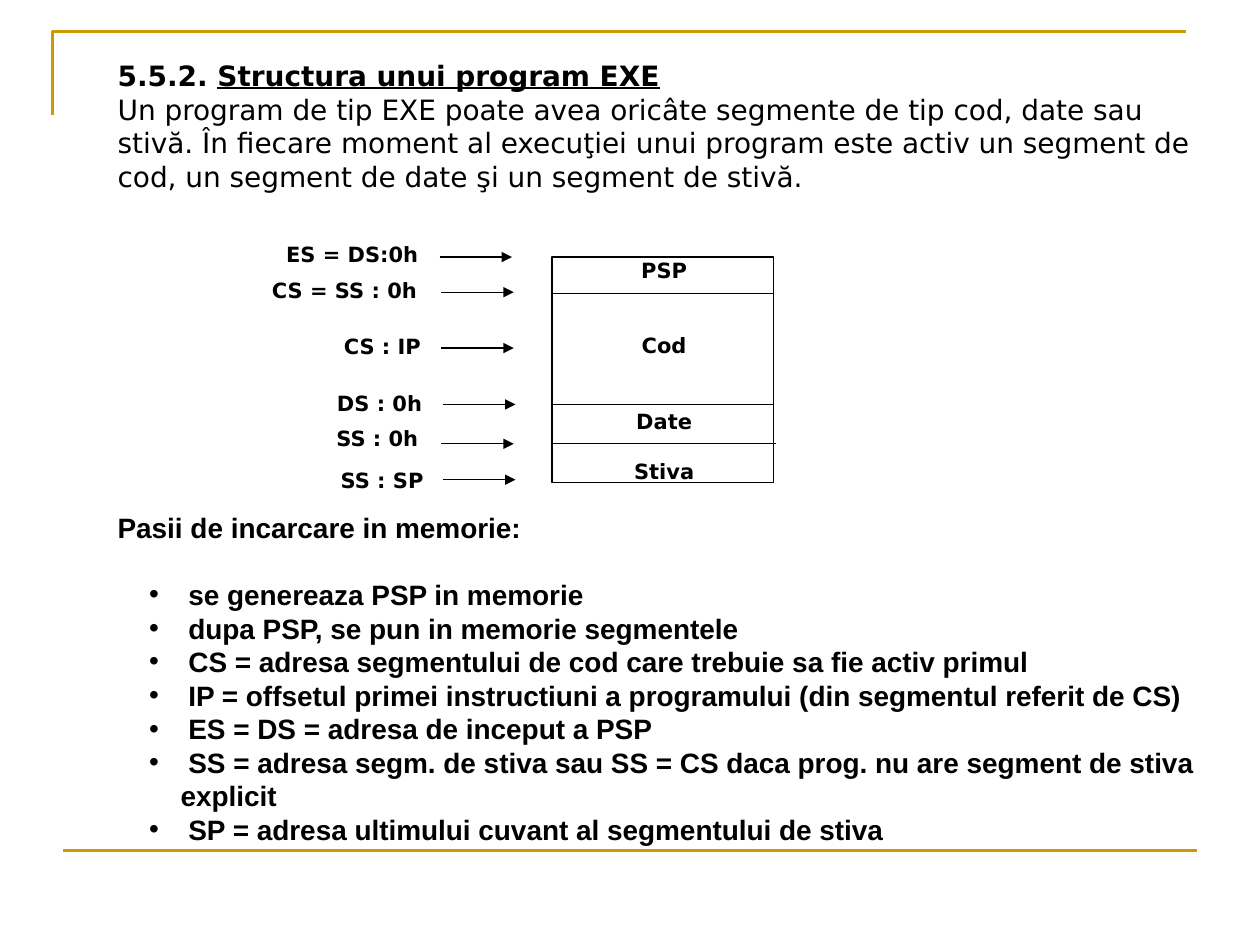
from lxml.etree import SubElement
from pptx import Presentation
from pptx.dml.color import RGBColor
from pptx.enum.shapes import MSO_CONNECTOR, MSO_SHAPE
from pptx.enum.text import MSO_ANCHOR, MSO_AUTO_SIZE, PP_ALIGN
from pptx.oxml.ns import qn
from pptx.util import Pt

# Content
HEADING = ("5.5.2. ", "Structura unui program EXE")
INTRO = ("Un program de tip EXE poate avea oricâte segmente de tip cod, date sau stivă. "
         "În fiecare moment al execuţiei unui program este activ un segment de cod, "
         "un segment de date şi un segment de stivă.")
SEGMENTS = [("PSP", 0), ("Cod", 2), ("Date", 2), ("Stiva", 1)]  # name, lines skipped above
DIVIDERS = [(167.8, 442.1), (231.1, 442.1), (253.4, 443.5)]  # y, right end
# text, label right edge, label top, arrow start, arrow y
POINTERS = [
    ("ES = DS:0h", 239, 138.2, 251.2, 146.9),
    ("CS = SS : 0h", 238.3, 158.4, 252.2, 167),
    ("CS : IP", 240.5, 190.8, 252.2, 198.9),
    ("DS : 0h", 241.2, 223.2, 253.2, 231.1),
    ("SS : 0h", 239, 243.4, 252.2, 253.6),
    ("SS : SP", 242, 267.1, 253.2, 274.1),
]
STEPS_TITLE = "Pasii de incarcare in memorie:"
STEPS = [
    " se genereaza PSP in memorie",
    " dupa PSP, se pun in memorie segmentele",
    " CS = adresa segmentului de cod care trebuie sa fie activ primul",
    " IP = offsetul primei instructiuni a programului (din segmentul referit de CS)",
    " ES = DS = adresa de inceput a PSP",
    " SS = adresa segm. de stiva sau SS = CS daca prog. nu are segment de stiva explicit",
    " SP = adresa ultimului cuvant al segmentului de stiva",
]

COLORS = {"gold": "CC9900", "ink": "000000", "paper": "FFFFFF"}
LEADING = 1.2
LABEL_W, ARROW_W = 106.6, 41.4
MEM_X, MEM_Y, MEM_W, MEM_H = 315.4, 146.9, 126.7, 128.9
TITLE = {"size": Pt(16), "name": "DejaVu Sans", "bold": True}
PLAIN = {**TITLE, "bold": False}
LABEL = {**TITLE, "size": Pt(12)}
STEP = {**TITLE, "name": "Arial"}


def rgb(key):
    return RGBColor.from_string(COLORS[key])


def style_line(line, color, width):
    line.color.rgb = rgb(color)
    line.width = Pt(width)


def place(sp, x, y, w, h, margins=(0, 0)):
    """Position a text shape and return its top-anchored, wrapping frame."""
    sp.left, sp.top, sp.width, sp.height = Pt(x), Pt(y), Pt(w), Pt(h)
    tf = sp.text_frame
    side, edge = map(Pt, margins)
    frame = {"word_wrap": True, "auto_size": MSO_AUTO_SIZE.NONE,
             "vertical_anchor": MSO_ANCHOR.TOP, "margin_left": side,
             "margin_right": side, "margin_top": edge, "margin_bottom": edge}
    for name, value in frame.items():
        setattr(tf, name, value)
    return tf


def add_run(p, text, fmt, **extra):
    r = p.add_run()
    r.text = text
    for name, value in {**fmt, **extra}.items():
        setattr(r.font, name, value)
    r.font.color.rgb = rgb("ink")


def write(tf, text, fmt, align=PP_ALIGN.LEFT, before=0, first=False):
    p = tf.paragraphs[0] if first else tf.add_paragraph()
    p.alignment = align
    p.line_spacing = Pt(fmt["size"].pt * LEADING)
    p.space_before, p.space_after = Pt(before), Pt(0)
    add_run(p, text, fmt)
    return p


def set_bullet(p, char=None, left=0, hang=0):
    pPr = p._p.get_or_add_pPr()
    pPr.set("marL", str(Pt(left)))
    pPr.set("indent", str(-Pt(hang)))
    if char:
        SubElement(pPr, qn("a:buChar")).set("char", char)
    else:
        SubElement(pPr, qn("a:buNone"))


def add_line(s, x1, y1, x2, y2, color="ink", width=0.75, arrow=False):
    sp = s.shapes.add_connector(MSO_CONNECTOR.STRAIGHT, Pt(x1), Pt(y1), Pt(x2), Pt(y2))
    style_line(sp.line, color, width)
    if arrow:
        SubElement(sp.line._get_or_add_ln(), qn("a:tailEnd")).set("type", "triangle")
    SubElement(sp._element.spPr, qn("a:effectLst"))


def main():
    prs = Presentation()
    prs.slide_width, prs.slide_height = Pt(720), Pt(540)
    s = prs.slides.add_slide(prs.slide_layouts[1])
    title, body = s.placeholders

    # Gold frame
    fb = s.shapes.build_freeform(Pt(30), Pt(66), scale=1.0)
    fb.add_line_segments([(Pt(30), Pt(18)), (Pt(678), Pt(18))], close=False)
    sp = fb.convert_to_shape()
    sp.shadow.inherit = False
    sp.fill.background()
    style_line(sp.line, "gold", 1.5)
    add_line(s, 36, 486, 684, 486, "gold", 1.5)

    # Heading and introduction
    tf = place(title, 60, 30, 630, 84, (7.2, 3.6))
    p = write(tf, HEADING[0], TITLE, first=True)
    add_run(p, HEADING[1], TITLE, underline=True)
    write(tf, INTRO, PLAIN)

    # Memory block
    sp = s.shapes.add_shape(MSO_SHAPE.RECTANGLE, Pt(MEM_X), Pt(MEM_Y), Pt(MEM_W), Pt(MEM_H))
    sp.shadow.inherit = False
    sp.fill.solid()
    sp.fill.fore_color.rgb = rgb("paper")
    style_line(sp.line, "ink", 0.75)
    for y, right in DIVIDERS:
        add_line(s, MEM_X, y, right, y)
    tf = place(s.shapes.add_textbox(0, 0, 0, 0), MEM_X, MEM_Y, 128.2, 128.2)
    for i, (name, skipped) in enumerate(SEGMENTS):
        gap = skipped * LABEL["size"].pt * LEADING
        write(tf, name, LABEL, PP_ALIGN.CENTER, gap, first=i == 0)

    # Register pointers
    for text, right, top, x, y in POINTERS:
        add_line(s, x, y, x + ARROW_W, y, arrow=True)
        tf = place(s.shapes.add_textbox(0, 0, 0, 0), right - LABEL_W, top, LABEL_W, 20.2)
        write(tf, text, LABEL, PP_ALIGN.RIGHT, first=True)

    # Loading steps
    tf = place(body, 60, 288, 636, 199.4, (7.2, 3.6))
    set_bullet(write(tf, STEPS_TITLE, STEP, first=True))
    for i, text in enumerate(STEPS):
        gap = STEP["size"].pt * LEADING if i == 0 else 0
        p = write(tf, text, STEP, before=gap)
        p.level = 1
        set_bullet(p, "•", left=36, hang=18)

    prs.save("out.pptx")


if __name__ == "__main__":
    main()
